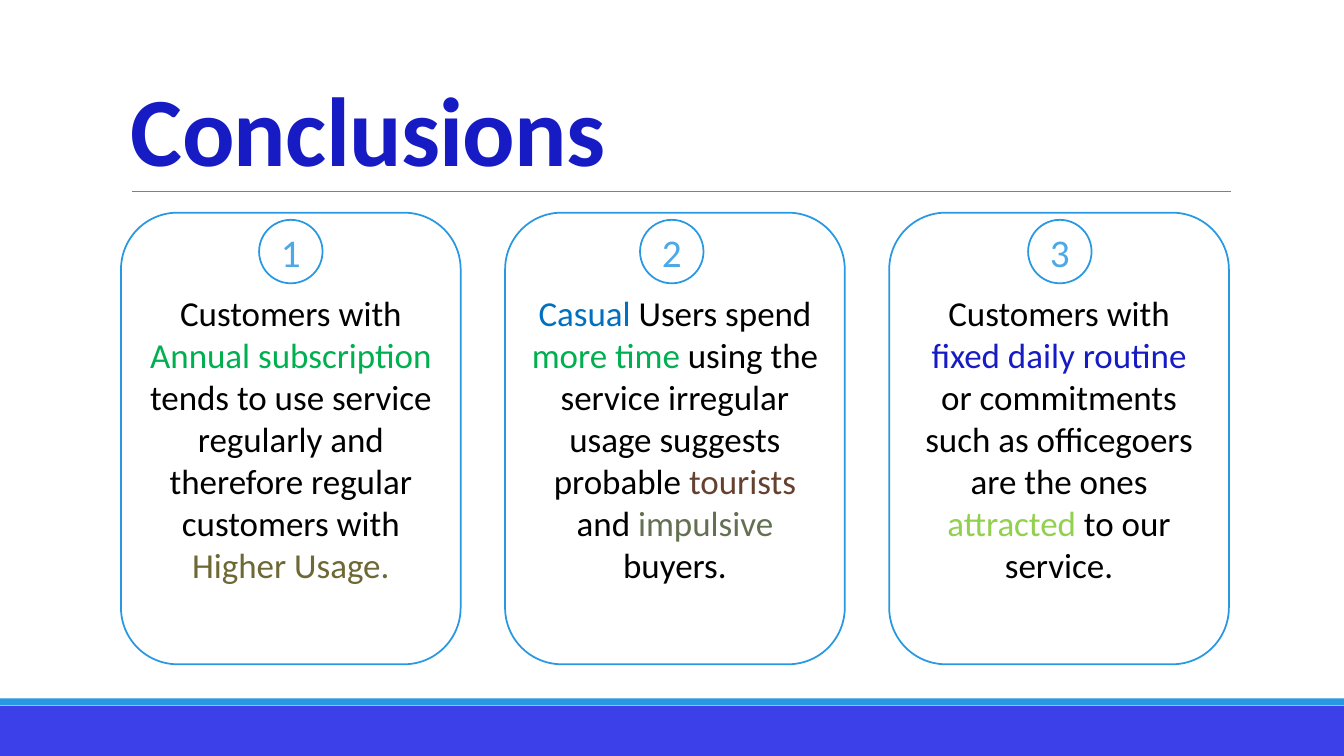
from pptx import Presentation
from pptx.dml.color import RGBColor
from pptx.enum.shapes import MSO_CONNECTOR as Connector, MSO_SHAPE as Shape
from pptx.enum.text import MSO_ANCHOR as Anchor, PP_ALIGN as Align
from pptx.oxml.ns import qn
from pptx.util import Cm, Pt
from lxml import etree

FONT = "Calibri"
BLACK, WHITE, BLUE, NAVY, GREEN = "000000", "FFFFFF", "2998E3", "171BC4", "00B050"
BADGE_TEXT, FOOTER = "4CA9E8", "3C40E8"
SLIDE_WIDTH, SLIDE_HEIGHT = 33.87, 19.05

TITLE = "Conclusions"
# Each card: left edge of its number badge in cm, then its coloured runs
CARDS = [
    (6.53, [("Customers with ", BLACK), ("Annual subscription ", GREEN),
            ("tends to use service regularly and therefore regular customers with ", BLACK),
            ("Higher Usage.", "6D6834")]),
    (16.13, [("Casual", "0070C0"), (" Users spend ", BLACK), ("more time", GREEN),
             (" using the service irregular usage suggests probable ", BLACK),
             ("tourists", "654130"), (" and ", BLACK), ("impulsive", "637052"),
             (" buyers.", BLACK)]),
    (25.91, [("Customers with ", BLACK), ("fixed daily routine", NAVY),
             (" or commitments such as officegoers are the ones ", BLACK),
             ("attracted", "92D050"), (" to our service.", BLACK)]),
]
CARD_LEFT, CARD_TOP, CARD_WIDTH, CARD_HEIGHT, CARD_STEP = 3.05, 5.36, 8.56, 11.38, 9.68
BADGE_TOP, BADGE_SIZE = 5.54, 1.6


def color(value):
    """Turn a hex string into a colour."""
    return RGBColor.from_string(value)


def add_run(paragraph, text, size, text_color):
    """Append a formatted run to a paragraph."""
    run = paragraph.add_run()
    run.text = text
    run.font.name = FONT
    run.font.size = Pt(size)
    run.font.color.rgb = color(text_color)
    return run


def add_box(kind, box, fill, line=None):
    """Add a filled preset shape without shadow; box is in cm."""
    shape = slide.shapes.add_shape(kind, *map(Cm, box))
    shape.shadow.inherit = False
    shape.fill.solid()
    shape.fill.fore_color.rgb = color(fill)
    if line:
        shape.line.color.rgb = color(line)
        shape.line.width = Pt(1.25)
    else:
        shape.line.fill.background()
    return shape


def add_outlined_text(kind, box, runs, size):
    """Add a white outlined shape holding centred coloured runs."""
    shape = add_box(kind, box, WHITE, BLUE)
    frame = shape.text_frame
    frame.word_wrap = True
    frame.vertical_anchor = Anchor.MIDDLE
    paragraph = frame.paragraphs[0]
    paragraph.alignment = Align.CENTER
    for text, text_color in runs:
        add_run(paragraph, text, size, text_color)


def add_title():
    """Add the bold title and the rule beneath it."""
    rule = slide.shapes.add_connector(
        Connector.STRAIGHT, Cm(3.33), Cm(4.83), Cm(31.01), Cm(4.83))
    rule.line.color.rgb = color("808080")
    rule.line.width = Pt(0.5)
    etree.SubElement(rule.element.spPr, qn("a:effectLst"))

    frame = slide.shapes.add_textbox(Cm(3.05), Cm(0.79), Cm(27.94), Cm(4.04)).text_frame
    frame.word_wrap = True
    frame.vertical_anchor = Anchor.BOTTOM
    paragraph = frame.paragraphs[0]
    paragraph.line_spacing = 0.85
    run = add_run(paragraph, TITLE, 70, NAVY)
    run.font.bold = True
    run.font._element.set("spc", "-50")


presentation = Presentation()
presentation.slide_width, presentation.slide_height = Cm(SLIDE_WIDTH), Cm(SLIDE_HEIGHT)
slide = presentation.slides.add_slide(presentation.slide_layouts[6])

add_box(Shape.RECTANGLE, (0, 17.78, SLIDE_WIDTH, 1.27), FOOTER)
add_box(Shape.RECTANGLE, (0, 17.6, SLIDE_WIDTH, 0.17), BLUE)
add_title()
for index, (badge_left, runs) in enumerate(CARDS):
    card_left = CARD_LEFT + index * CARD_STEP
    add_outlined_text(Shape.ROUNDED_RECTANGLE,
                      (card_left, CARD_TOP, CARD_WIDTH, CARD_HEIGHT), runs, 25)
    add_outlined_text(Shape.OVAL, (badge_left, BADGE_TOP, BADGE_SIZE, BADGE_SIZE),
                      [(str(index + 1), BADGE_TEXT)], 28)

presentation.save("out.pptx")
